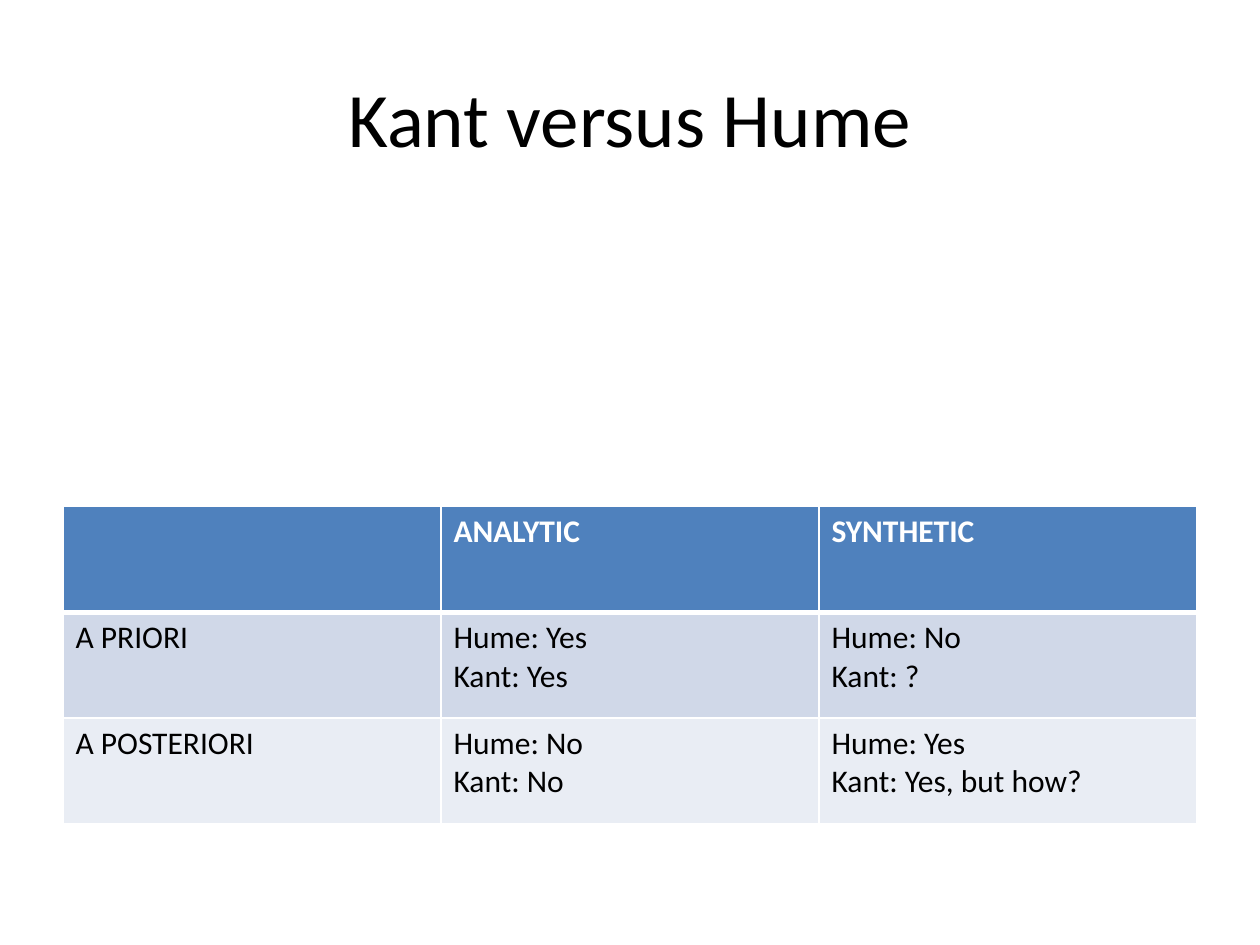
from lxml.etree import SubElement
from pptx import Presentation
from pptx.dml.color import RGBColor
from pptx.enum.text import MSO_ANCHOR, PP_ALIGN
from pptx.oxml.ns import qn
from pptx.util import Inches, Pt

WHITE, BLACK, BLUE = "FFFFFF", "000000", "4F81BD"
BANDS = ["D0D8E8", "E9EDF4"]
ROWS = [
    ["", "ANALYTIC", "SYNTHETIC"],
    ["A PRIORI", "Hume: Yes\nKant: Yes", "Hume: No\nKant: ?"],
    ["A POSTERIORI", "Hume: No\nKant: No", "Hume: Yes\nKant: Yes, but how?"],
]


def paint(target, color):
    """Set a solid fill from a hex string."""
    target.solid()
    target.fore_color.rgb = RGBColor.from_string(color)


def write(frame, text, size=18, color=BLACK, bold=False, align=PP_ALIGN.LEFT):
    """Write one paragraph for each line of the text."""
    frame.text = text
    for para in frame.paragraphs:
        para.alignment = align
        para.font.size = Pt(size)
        for run in para.runs:
            font = run.font
            font.name, font.size, font.bold = "Calibri", Pt(size), bold
            paint(font.fill, color)


def edge(cell, side, width):
    """Draw a white border on one side of a cell."""
    line = SubElement(cell._tc.get_or_add_tcPr(), qn(f"a:ln{side}"),
                      w=str(Pt(width)))
    fill = SubElement(line, qn("a:solidFill"))
    SubElement(fill, qn("a:srgbClr"), val=WHITE)


def add_title(slide, text):
    """Add the centred title."""
    box = slide.shapes.add_textbox(Inches(0.5), Inches(0.3),
                                   Inches(9), Inches(1.25))
    frame = box.text_frame
    frame.word_wrap = True
    frame.vertical_anchor = MSO_ANCHOR.MIDDLE
    write(frame, text, size=44, align=PP_ALIGN.CENTER)


def add_grid(slide, rows):
    """Add the table with a header row and banded body rows."""
    table = slide.shapes.add_table(len(rows), len(rows[0]), Inches(0.5),
                                   Inches(4.02), Inches(9), Inches(2.52)).table
    for r, row in enumerate(rows):
        head = r == 0
        for c, text in enumerate(row):
            cell = table.cell(r, c)
            for side in "LRTB":
                thick = (head and side == "B") or (r == 1 and side == "T")
                edge(cell, side, 3 if thick else 1)
            paint(cell.fill, BLUE if head else BANDS[(r - 1) % 2])
            write(cell.text_frame, text, bold=head,
                  color=WHITE if head else BLACK)


def main():
    """Build and save the slide."""
    deck = Presentation()
    deck.slide_width, deck.slide_height = Inches(10), Inches(7.5)
    slide = deck.slides.add_slide(deck.slide_layouts[6])
    add_title(slide, "Kant versus Hume")
    add_grid(slide, ROWS)
    deck.save("out.pptx")


main()
